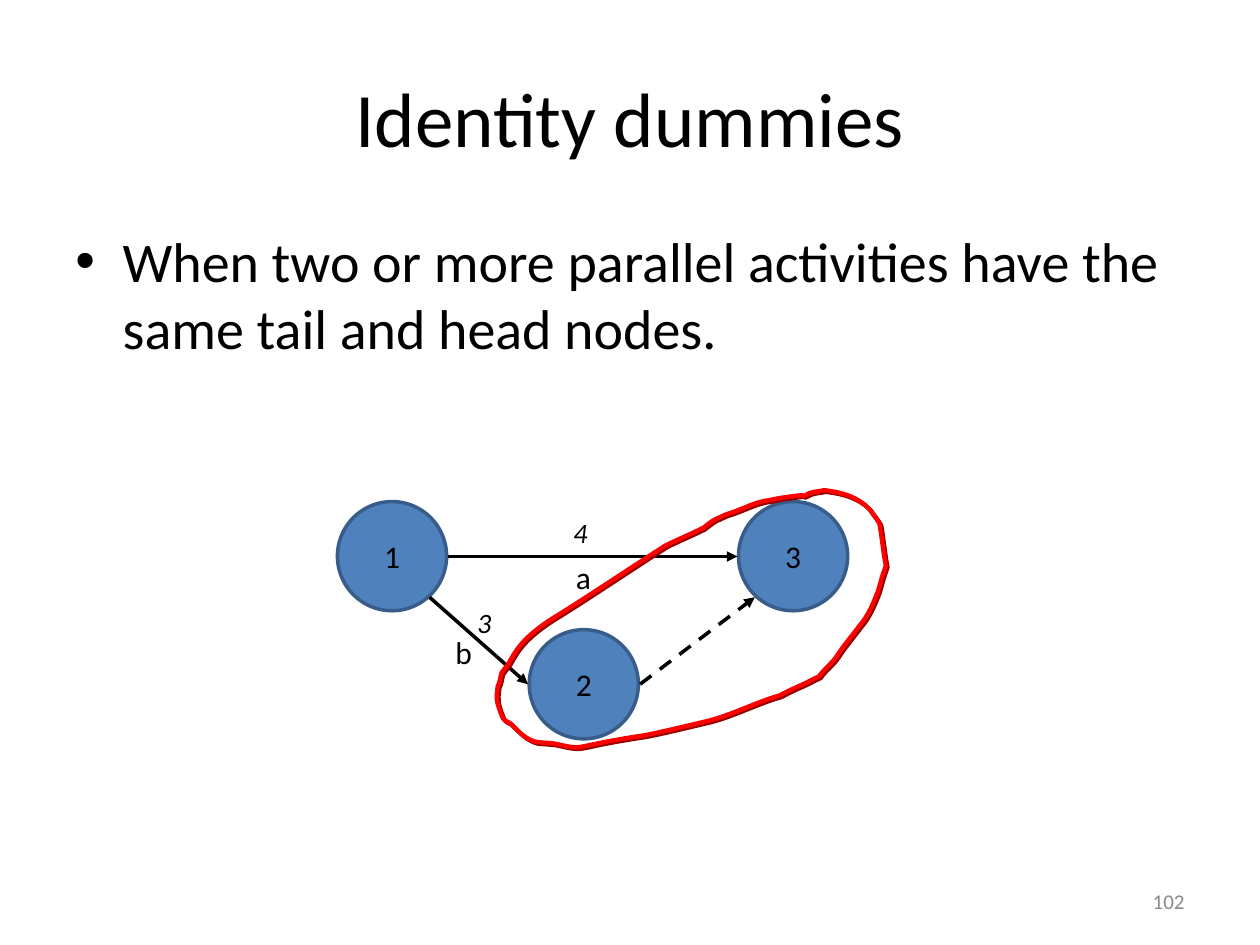
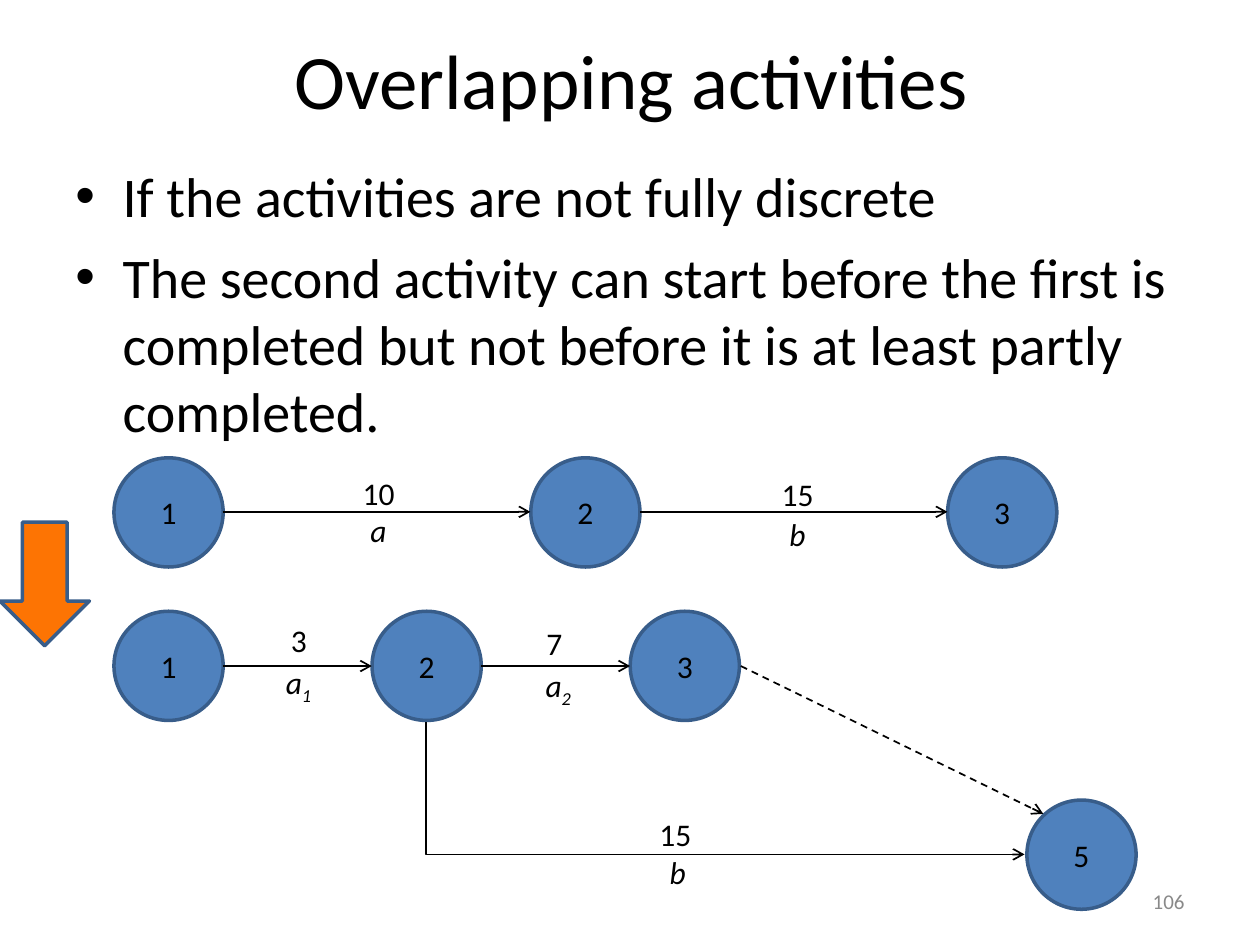
from pptx import Presentation
from pptx.dml.color import RGBColor
from pptx.enum.dml import MSO_LINE
from pptx.enum.shapes import MSO_CONNECTOR, MSO_SHAPE
from pptx.enum.text import MSO_ANCHOR, PP_ALIGN
from pptx.oxml.ns import qn
from pptx.util import Pt
from lxml import etree

CENTER, LEFT, RIGHT = PP_ALIGN.CENTER, PP_ALIGN.LEFT, PP_ALIGN.RIGHT
MIDDLE, TOP = MSO_ANCHOR.MIDDLE, MSO_ANCHOR.TOP
STRAIGHT, ELBOW = MSO_CONNECTOR.STRAIGHT, MSO_CONNECTOR.ELBOW
CIRCLE, DOWN_ARROW = MSO_SHAPE.FLOWCHART_CONNECTOR, MSO_SHAPE.DOWN_ARROW
DASH = MSO_LINE.DASH

COLORS = {
    "text": "000000",
    "number": "898989",
    "node": "4F81BD",
    "outline": "385D8A",
    "block_arrow": "FD7403",
    "loop": "FF0000",
    "loop_shadow": "990000",
}
FONT = "Calibri"
NODE = 62.4
LABEL_HEIGHT = 28.8

SLIDES = [
    {
        "title": "Identity dummies",
        "title_box": (36, 21.6, 648, 90),
        "bullets": ["When two or more parallel activities have the same tail and head nodes."],
        "body_box": (36, 126, 648, 356.4),
        "number": "102",
        "nodes": [("1", 192.8, 286.6), ("3", 422, 286.6), ("2", 302.4, 359.8)],
        "arrows": [
            (256, 318, 421.4, 318, False),
            (365.8, 391, 431.3, 341.3, True),
            (245.5, 341.3, 301.7, 391, False),
        ],
        "arrow_style": (2, "triangle"),
        "labels": [
            ([("a", 0)], 333.4, 315.4, 34.6, 18, False),
            ([("b", 0)], 265, 358.1, 34.6, 18, False),
            ([("4", 0)], 331.7, 289.8, 22.3, 16, True),
            ([("3", 0)], 276.7, 341, 22.3, 16, True),
        ],
    },
    {
        "title": "Overlapping activities",
        "title_box": (36.7, 0, 648, 90),
        "bullets": [
            "If the activities are not fully discrete",
            "The second activity can start before the first is completed "
            "but not before it is at least partly completed.",
        ],
        "body_box": (36, 88.6, 648, 175.7),
        "number": "106",
        "nodes": [(str(i + 1), 65.1 + 238.2 * i, 261.6) for i in range(3)]
        + [(str(i + 1), 65.1 + 147.5 * i, 349.3) for i in range(3)]
        + [("5", 586.8, 457.2)],
        "arrows": [(127.4 + 238.3 * i, 292.5, 303.1 + 238.3 * i, 292.5, False) for i in range(2)]
        + [(127.4 + 147.6 * i, 380.6, 212.4 + 147.6 * i, 380.6, False) for i in range(2)]
        + [(423.3, 380.6, 596.2, 465.1, True)],
        "arrow_style": (1, "arrow"),
        "labels": [
            ([("10", 0)], 216.3, 267.1, 118.8, 18, False),
            ([("a", 0)], 216.3, 288.4, 23.8, 18, True),
            ([("15", 0)], 455.8, 267.8, 86.4, 18, False),
            ([("b", 0)], 455.8, 290.9, 247.7, 18, True),
            ([("3", 0)], 170.8, 351.4, 86.4, 18, False),
            ([("a", 0), ("1", -25000)], 170.6, 377, 28.8, 18, True),
            ([("7", 0)], 316.8, 352.8, 86.4, 18, False),
            ([("a", 0), ("2", -25000)], 319, 378.4, 28.8, 18, True),
            ([("15", 0)], 386, 462.2, 86.4, 18, False),
            ([("b", 0)], 387.2, 483.8, 164.9, 18, True),
        ],
    },
]

LOOP_START = (457.9, 283)
LOOP_CURVES = [
    (452.2, 283.7, 445.7, 284.4, 439.9, 285.8),
    (431.3, 286.6, 423.4, 291.6, 415.4, 293.8),
    (413.3, 294.5, 411.1, 295.9, 409, 296.6),
    (406.1, 298.1, 403.9, 300.2, 401.8, 301.7),
    (394.6, 305.3, 387.4, 308.2, 380.2, 311.8),
    (360, 324.7, 339.8, 338.4, 319, 351.4),
    (309.6, 357.1, 299.5, 364.3, 293.8, 373.7),
    (293, 375.1, 291.6, 377.3, 290.9, 378.7),
    (289.4, 380.9, 286.6, 384.5, 286.6, 384.5),
    (285.8, 387.4, 285.8, 389.5, 284.4, 392.4),
    (283.7, 399.6, 283, 399.6, 287.3, 410.4),
    (288, 411.8, 290.2, 412.6, 291.6, 413.3),
    (295.9, 417.6, 300.2, 422.6, 306.7, 424.1),
    (306.7, 424.1, 316.1, 424.8, 316.1, 424.8),
    (336.2, 429.1, 323.3, 427, 366.5, 420.5),
    (372.2, 419.8, 398.9, 413.3, 405.4, 411.8),
    (419, 408.2, 432.7, 401, 445.7, 397.4),
    (450.7, 394.6, 455.8, 392.4, 460.8, 390.2),
    (463, 388.8, 468, 386.6, 468, 386.6),
    (470.9, 382.3, 475.2, 379.4, 478.1, 375.1),
    (481.7, 369.4, 486.7, 363.6, 491, 357.8),
    (496.1, 352.1, 499, 344.9, 501.8, 337.7),
    (502.6, 334.8, 503.3, 332.6, 504, 329.8),
    (504.7, 327.6, 506.2, 323.3, 506.2, 323.3),
    (504.7, 315.4, 504, 307.4, 502.6, 299.5),
    (501.8, 297.4, 497.5, 292.3, 496.8, 290.9),
    (489.6, 283.7, 481.7, 281.5, 470.9, 280.1),
    (468.7, 280.8, 465.8, 280.8, 463.7, 281.5),
    (461.5, 281.5, 460.1, 284.4, 457.9, 283),
]


def write_text(shape, paragraphs, size, align=CENTER, anchor=MIDDLE, color="text",
               italic=False, wrap=True, bullet=False):
    frame = shape.text_frame
    frame.word_wrap = wrap
    frame.vertical_anchor = anchor
    for index, runs in enumerate(paragraphs):
        paragraph = frame.add_paragraph() if index else frame.paragraphs[0]
        paragraph.alignment = align
        if bullet:
            properties = paragraph._p.get_or_add_pPr()
            properties.set("marL", str(Pt(27)))
            properties.set("indent", str(Pt(-27)))
            etree.SubElement(properties, qn("a:buFont")).set("typeface", "Arial")
            etree.SubElement(properties, qn("a:buChar")).set("char", "•")
            if index:
                paragraph.space_before = Pt(8)
        for text, baseline in runs:
            run = paragraph.add_run()
            run.text = text
            run.font.name = FONT
            run.font.size = Pt(size)
            run.font.italic = italic
            run.font.color.rgb = RGBColor.from_string(COLORS[color])
            if baseline:
                run.font._element.set("baseline", str(baseline))


def style_arrow(connector, width, head, dashed=False):
    connector.line.color.rgb = RGBColor.from_string(COLORS["text"])
    connector.line.width = Pt(width)
    if dashed:
        connector.line.dash_style = DASH
    line = connector.line._get_or_add_ln()
    etree.SubElement(line, qn("a:tailEnd")).set("type", head)
    etree.SubElement(connector.element.spPr, qn("a:effectLst"))


presentation = Presentation()
presentation.slide_width = Pt(720)
presentation.slide_height = Pt(540)

for content in SLIDES:
    slide = presentation.slides.add_slide(presentation.slide_layouts[6])
    shapes = slide.shapes

    title = shapes.add_textbox(*map(Pt, content["title_box"]))
    write_text(title, [[(content["title"], 0)]], 44)
    body = shapes.add_textbox(*map(Pt, content["body_box"]))
    write_text(body, [[(text, 0)] for text in content["bullets"]], 32, LEFT, TOP, bullet=True)

    for name, left, top in content["nodes"]:
        node = shapes.add_shape(CIRCLE, Pt(left), Pt(top), Pt(NODE), Pt(NODE))
        node.shadow.inherit = False
        node.fill.solid()
        node.fill.fore_color.rgb = RGBColor.from_string(COLORS["node"])
        node.line.color.rgb = RGBColor.from_string(COLORS["outline"])
        node.line.width = Pt(2)
        write_text(node, [[(name, 0)]], 18)

    for *ends, dashed in content["arrows"]:
        connector = shapes.add_connector(STRAIGHT, *map(Pt, ends))
        style_arrow(connector, *content["arrow_style"], dashed)

    for runs, center, top, width, size, italic in content["labels"]:
        label = shapes.add_textbox(Pt(center - width / 2), Pt(top), Pt(width), Pt(LABEL_HEIGHT))
        write_text(label, [runs], size, italic=italic, wrap=False)

    number = shapes.add_textbox(Pt(516.2), Pt(500.4), Pt(167.8), Pt(28.8))
    write_text(number, [[(content["number"], 0)]], 12, RIGHT, color="number")

dummy_slide, overlap_slide = presentation.slides

builder = dummy_slide.shapes.build_freeform(*map(Pt, LOOP_START))
builder.add_line_segments(
    [(Pt(curve[i]), Pt(curve[i + 1])) for curve in LOOP_CURVES for i in (0, 2, 4)], close=True)
loop = builder.convert_to_shape()
segments = list(loop.element.spPr.iter(qn("a:lnTo")))
for first in range(0, len(segments), 3):
    bezier = etree.Element(qn("a:cubicBezTo"))
    segments[first].addprevious(bezier)
    for segment in segments[first:first + 3]:
        bezier.append(segment[0])
        segment.getparent().remove(segment)
loop.fill.background()
loop.line.color.rgb = RGBColor.from_string(COLORS["loop"])
loop.line.width = Pt(2.5)
effects = etree.SubElement(loop.element.spPr, qn("a:effectLst"))
shadow = etree.SubElement(effects, qn("a:outerShdw"), dist=str(Pt(1.4)), dir="2700000")
etree.SubElement(shadow, qn("a:srgbClr")).set("val", COLORS["loop_shadow"])

block_arrow = overlap_slide.shapes.add_shape(DOWN_ARROW, Pt(0), Pt(298.4), Pt(51.1), Pt(70.6))
block_arrow.shadow.inherit = False
block_arrow.fill.solid()
block_arrow.fill.fore_color.rgb = RGBColor.from_string(COLORS["block_arrow"])
block_arrow.line.color.rgb = RGBColor.from_string(COLORS["outline"])
block_arrow.line.width = Pt(2)

bent_arrow = overlap_slide.shapes.add_connector(ELBOW, Pt(376.6), Pt(279.4), Pt(452.2), Pt(621.4))
bent_arrow.element.spPr.find(qn("a:prstGeom")).set("prst", "bentConnector2")
transform = bent_arrow.element.spPr.find(qn("a:xfrm"))
transform.set("rot", "16200000")
transform.set("flipH", "1")
style_arrow(bent_arrow, 1, "arrow")

presentation.save("out.pptx")
